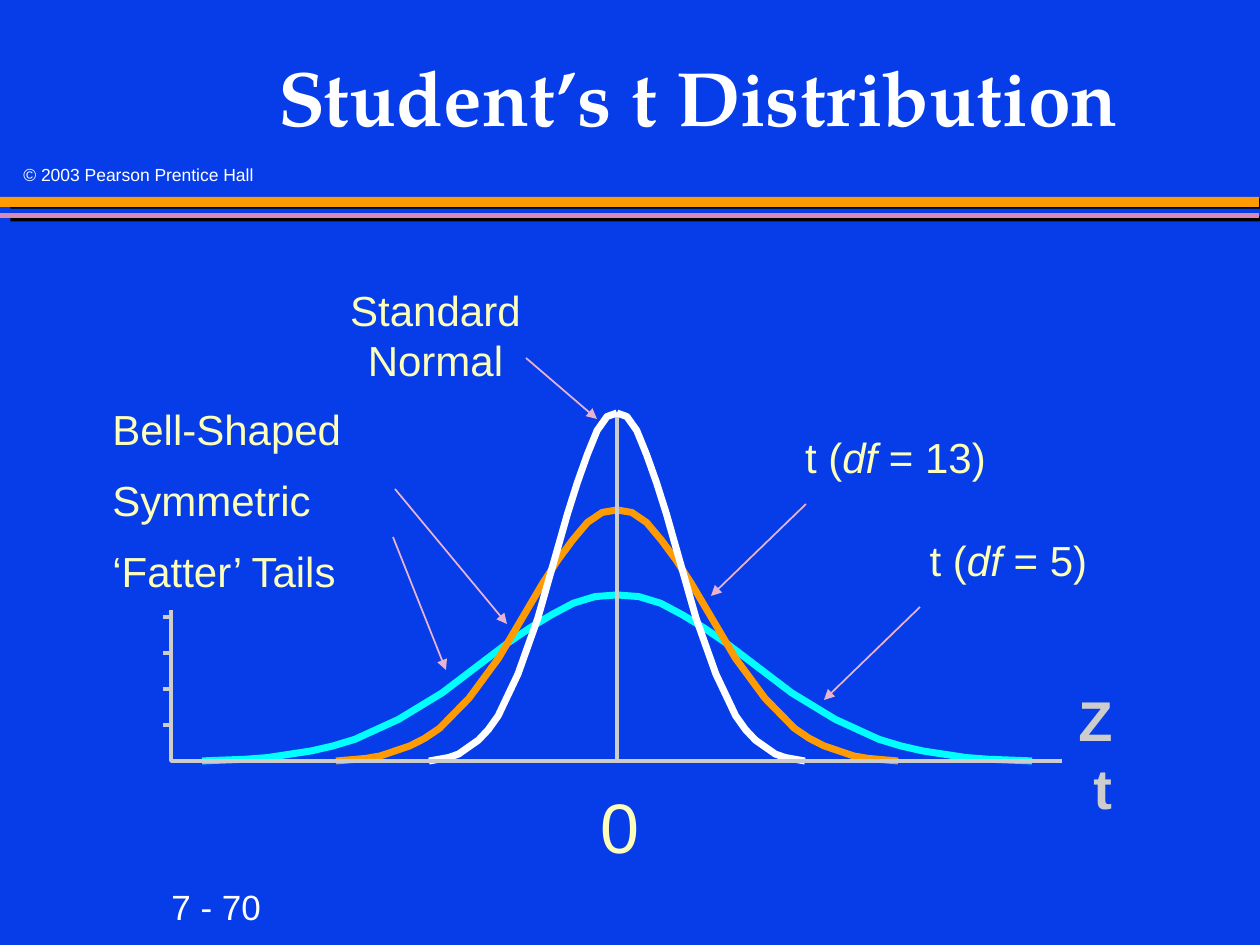
"""Build a slide that compares the standard normal curve with two t curves."""
from lxml.etree import SubElement
from pptx import Presentation
from pptx.dml.color import RGBColor as RGB
from pptx.enum.shapes import MSO_CONNECTOR as LINK, MSO_SHAPE as SHAPE
from pptx.enum.text import MSO_ANCHOR as ANCHOR, MSO_AUTO_SIZE as AUTO, PP_ALIGN as ALIGN
from pptx.oxml.ns import qn
from pptx.util import Pt

SCALE = 914400 / 126
HUE = {
    "back": "063DE8", "gold": "FE9B03", "rose": "D989B8", "pink": "E7B3D1",
    "cyan": "00FFFF", "white": "FFFFFF", "grey": "CDCDCD", "cream": "FCFEB9",
    "black": "000000",
}
MID, BASE = 617, 761
STEPS = (19, 17, 16, 15, 14, 13, 12, 10, 8, 6, 5, 4, 3, 2, 1, 0)
RISE = (0, .01, .02, .04, .06, .09, .13, .25, .41, .61, .71, .8, .88, .95, .99, 1)


def px(*nums):
    return [round(num * SCALE) for num in nums]


def tint(name):
    return RGB.from_string(HUE[name])


def paint(fill, name):
    fill.solid()
    fill.fore_color.rgb = tint(name)


def stroke(line, name, width):
    line.width = Pt(width)
    paint(line.fill, name)


def block(slide, box, name):
    shape = slide.shapes.add_shape(SHAPE.RECTANGLE, *px(*box))
    shape.shadow.inherit = False
    paint(shape.fill, name)
    shape.line.fill.background()
    return shape


def stripe(slide, box, name, dist, angle):
    shape = block(slide, box, name)
    glow = shape._element.spPr.find(qn("a:effectLst"))
    shade = SubElement(glow, qn("a:outerShdw"), blurRad="0", dist=str(Pt(dist)),
                       dir=str(angle * 60000), algn="ctr", rotWithShape="0")
    SubElement(shade, qn("a:srgbClr"), val=HUE["black"])


def write(shape, paras, size, name, align=ALIGN.LEFT, bold=False, font="Arial",
          wrap=True, gap=0):
    frame = shape.text_frame
    frame.word_wrap = wrap
    frame.auto_size = AUTO.SHAPE_TO_FIT_TEXT
    frame.vertical_anchor = ANCHOR.TOP
    for at, runs in enumerate(paras):
        para = frame.add_paragraph() if at else frame.paragraphs[0]
        para.alignment = align
        if at:
            para.space_before = Pt(gap)
        for words, slant in runs:
            run = para.add_run()
            run.text = words
            face = run.font
            face.name, face.size, face.bold, face.italic = font, Pt(size), bold, slant
            face.color.rgb = tint(name)
    return frame


def label(slide, box, words, size, name, **style):
    runs = [(words, False)] if isinstance(words, str) else words
    return write(slide.shapes.add_textbox(*px(*box)), [runs], size, name, **style)


def rule(slide, ends, name="grey", width=2, arrow=False):
    link = slide.shapes.add_connector(LINK.STRAIGHT, *px(*ends))
    stroke(link.line, name, width)
    SubElement(link._element.spPr, qn("a:effectLst"))
    if arrow:
        SubElement(link.line._get_or_add_ln(), qn("a:tailEnd"), type="triangle")


def trace(slide, spots, name, width):
    first, *rest = [px(*spot) for spot in spots]
    pen = slide.shapes.build_freeform(*first)
    pen.add_line_segments(rest, close=False)
    shape = pen.convert_to_shape()
    shape.shadow.inherit = False
    shape.fill.background()
    stroke(shape.line, name, width)


def bell(slide, reach, peak, name):
    for side in (1, -1):
        spots = [(MID + side * reach * step / 19, BASE - peak * part)
                 for step, part in zip(STEPS, RISE)]
        trace(slide, spots, name, 4)


def axes(slide):
    trace(slide, [(171, 402), (171, BASE), (1062, BASE)], "grey", 2)
    for row in range(4):
        y = 617 + 36 * row
        rule(slide, (163, y, 170, y))
    for col in range(10):
        x = 1062 - 89 * col
        rule(slide, (x, 763, x, 763))


def degree(slide, box, count):
    runs = [("t (", False), ("df", True), (f" = {count})", False)]
    label(slide, box, runs, 24, "cream", align=ALIGN.CENTER)


def main():
    deck = Presentation()
    deck.slide_width, deck.slide_height = px(1260, 945)
    slide = deck.slides.add_slide(deck.slide_layouts[6])
    paint(slide.background.fill, "back")

    stripe(slide, (0, 197, 1259, 10), "gold", 6.1, 9)
    stripe(slide, (0, 213, 1259, 5), "rose", 6.3, 18)
    label(slide, (159, 879, 118, 54), "7 - 70", 20, "white")
    label(slide, (11, 158, 272, 33), "© 2003 Pearson Prentice Hall", 10, "white")

    bell(slide, 415, 166, "cyan")
    bell(slide, 281, 251, "gold")
    label(slide, (1066, 679, 59, 79), "Z", 32, "grey", bold=True, wrap=False)
    label(slide, (1081, 747, 44, 79), "t", 32, "grey", bold=True, wrap=False)
    rule(slide, (MID, 416, MID, 760))
    bell(slide, 188, 348, "white")
    axes(slide)

    title = label(slide, (231, 21, 935, 158), "Student’s t Distribution", 44, "white",
                  align=ALIGN.CENTER, bold=True, font="TeX Gyre Pagella")
    title.auto_size = AUTO.NONE
    title.vertical_anchor = ANCHOR.MIDDLE
    title.paragraphs[0].line_spacing = 0.95

    label(slide, (567, 777, 105, 96), "0", 40, "cream", align=ALIGN.CENTER)
    degree(slide, (888, 528, 241, 63), 5)
    label(slide, (315, 278, 241, 113), "Standard Normal", 24, "cream", align=ALIGN.CENTER)
    degree(slide, (775, 425, 241, 63), 13)
    traits = ("Bell-Shaped", "Symmetric", "‘Fatter’ Tails")
    write(block(slide, (100, 397, 292, 213), "back"),
          [[(trait, False)] for trait in traits], 24, "cream", gap=12)

    for ends in ((526, 358, 597, 419), (920, 607, 824, 700), (806, 504, 711, 596),
                 (395, 489, 507, 624), (393, 537, 446, 670)):
        rule(slide, ends, "pink", 1, arrow=True)
    deck.save("out.pptx")


if __name__ == "__main__":
    main()
